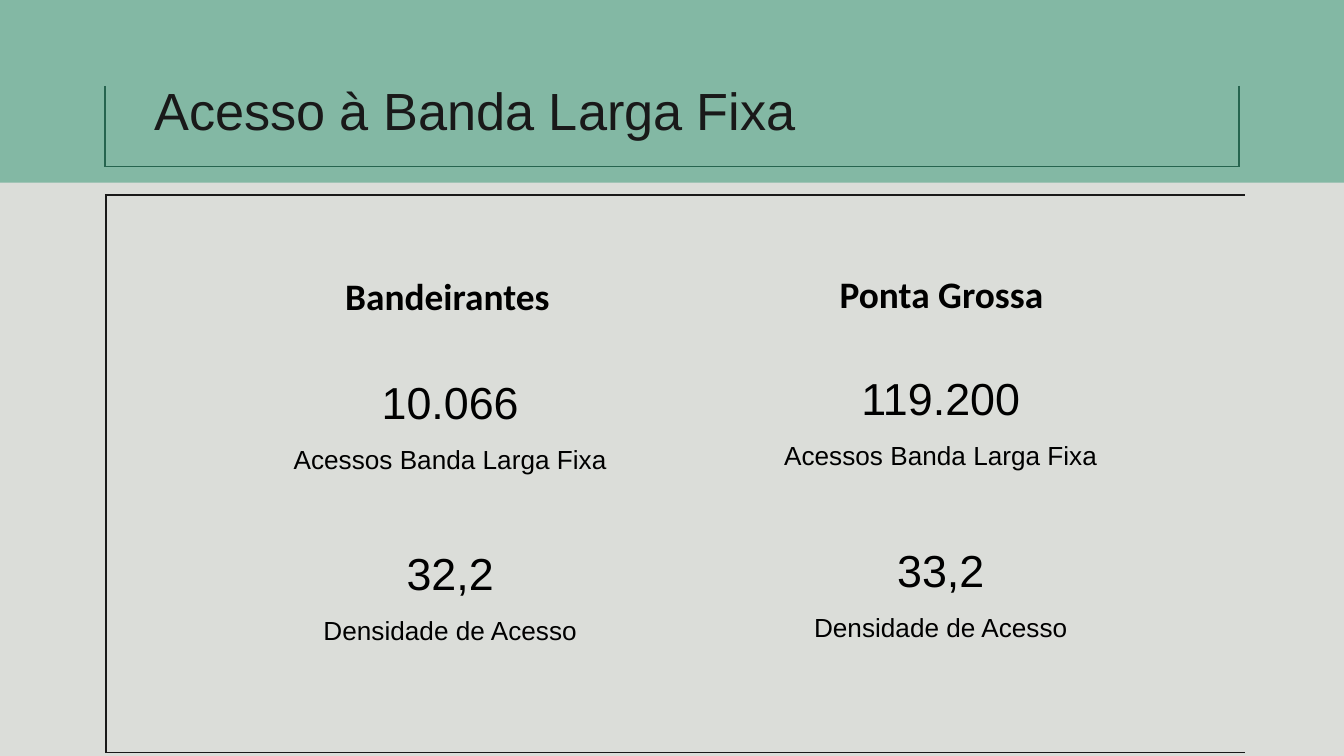
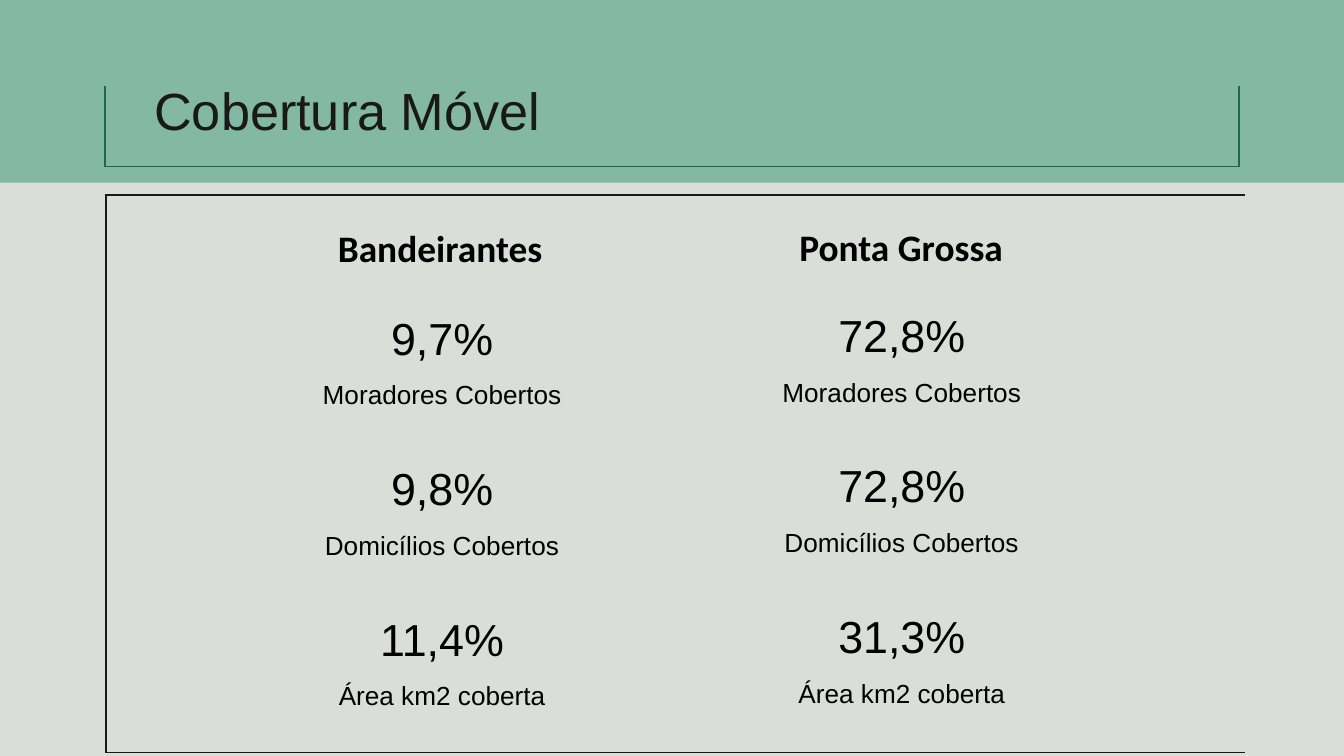
from pptx import Presentation
from pptx import util as u
from pptx.dml.color import RGBColor
from pptx.enum import shapes, text
from pptx.oxml.ns import qn
from lxml import etree

# Colours and fonts
BACKGROUND = RGBColor(0xDB, 0xDD, 0xD9)
BAND = RGBColor(0x83, 0xB8, 0xA4)
TITLE_LINE = RGBColor(0x26, 0x64, 0x4F)
DARK = RGBColor(0x19, 0x19, 0x19)
BLACK = RGBColor(0, 0, 0)
BODY_FONT, HEADING_FONT = "Arial", "Calibri"

# Line ends: x1, y1, x2, y2
TITLE_FRAME = [(0.78, 1.24, 9.21, 1.24), (0.78, 0.64, 0.78, 1.24),
               (9.22, 0.64, 9.22, 1.24)]
BODY_FRAME = [(0.78, 1.45, 9.26, 1.45), (0.79, 5.6, 9.26, 5.6),
              (0.79, 1.45, 0.79, 5.6)]

# Box widths of the labels
LABEL_WIDTHS = {
    "Acessos Banda Larga Fixa": 2.54,
    "Densidade de Acesso": 2.11,
    "Moradores Cobertos": 1.98,
    "Domicílios Cobertos": 1.96,
    "Área km2 coberta": 1.75,
}
ACCESS_LABELS = ["Acessos Banda Larga Fixa", "Densidade de Acesso"]
COVERAGE_LABELS = ["Moradores Cobertos", "Domicílios Cobertos",
                   "Área km2 coberta"]
LEFT, CENTER = text.PP_ALIGN.LEFT, text.PP_ALIGN.CENTER


def add_text(parent, box, words, size, color=BLACK, font=BODY_FONT,
             bold=False, align=CENTER, wrap=False):
    tb = parent.add_textbox(*(u.Inches(v) for v in box))
    tf = tb.text_frame
    tf.word_wrap = wrap
    tf.auto_size = text.MSO_AUTO_SIZE.SHAPE_TO_FIT_TEXT
    p = tf.paragraphs[0]
    p.alignment = align
    r = p.add_run()
    r.text = words
    r.font.size = u.Pt(size)
    r.font.name = font
    r.font.bold = bold
    r.font.color.rgb = color
    return tb


def add_frame(s, lines, color):
    grp = s.shapes.add_group_shape()
    for ends in lines:
        line = grp.shapes.add_connector(shapes.MSO_CONNECTOR.STRAIGHT,
                                        *(u.Inches(v) for v in ends))
        line.line.color.rgb = color
        line.line.width = u.Pt(0.75)
        etree.SubElement(line._element.spPr, qn("a:effectLst"))


def value_width(value):
    """Width of a 24 pt figure plus the side insets."""
    return 0.2 + sum({",": 0.09, ".": 0.09, "%": 0.3}.get(c, 0.19)
                     for c in value)


def add_stat(s, center, top, value, label):
    grp = s.shapes.add_group_shape()
    rows = [(value, value_width(value), top, 0.5, 24),
            (label, LABEL_WIDTHS[label], top + 0.51, 0.34, 14)]
    for words, width, y, height, size in rows:
        add_text(grp.shapes, (center - width / 2, y, width, height),
                 words, size)


def add_city(s, name, heading_at, center, top, step, values, labels,
             align=CENTER):
    add_text(s.shapes, (*heading_at, 1.77, 0.44), name, 20,
             font=HEADING_FONT, bold=True, align=align, wrap=True)
    for i, (value, label) in enumerate(zip(values, labels)):
        add_stat(s, center, top + i * step, value, label)


def add_slide(prs, title):
    s = prs.slides.add_slide(prs.slide_layouts[6])
    s.background.fill.solid()
    s.background.fill.fore_color.rgb = BACKGROUND
    # Title band
    band = s.shapes.add_shape(shapes.MSO_SHAPE.RECTANGLE, 0, 0,
                              prs.slide_width, u.Inches(1.36))
    band.shadow.inherit = False
    band.fill.solid()
    band.fill.fore_color.rgb = BAND
    band.line.fill.background()
    add_frame(s, TITLE_FRAME, TITLE_LINE)
    # Title
    tb = add_text(s.shapes, (1.05, 0.48, 8.43, 0.63), title, 28, DARK,
                  align=LEFT, wrap=True)
    tf = tb.text_frame
    tf.auto_size = text.MSO_AUTO_SIZE.NONE
    tf.margin_top = tf.margin_bottom = u.Inches(0.1)
    add_frame(s, BODY_FRAME, DARK)
    return s


def main():
    prs = Presentation()
    prs.slide_width = u.Inches(10)
    prs.slide_height = prs.slide_width * 9 // 16

    # Fixed broadband
    s = add_slide(prs, "Acesso à Banda Larga Fixa")
    add_city(s, "Bandeirantes", (2.47, 1.98), 3.35, 2.74, 1.27,
             ["10.066", "32,2"], ACCESS_LABELS, align=LEFT)
    add_city(s, "Ponta Grossa", (6.12, 1.97), 7.0, 2.71, 1.28,
             ["119.200", "33,2"], ACCESS_LABELS)

    # Mobile coverage
    s = add_slide(prs, "Cobertura Móvel")
    add_city(s, "Bandeirantes", (2.39, 1.63), 3.29, 2.26, 1.12,
             ["9,7%", "9,8%", "11,4%"], COVERAGE_LABELS)
    add_city(s, "Ponta Grossa", (5.82, 1.62), 6.71, 2.24, 1.12,
             ["72,8%", "72,8%", "31,3%"], COVERAGE_LABELS)

    prs.save("out.pptx")


if __name__ == "__main__":
    main()
